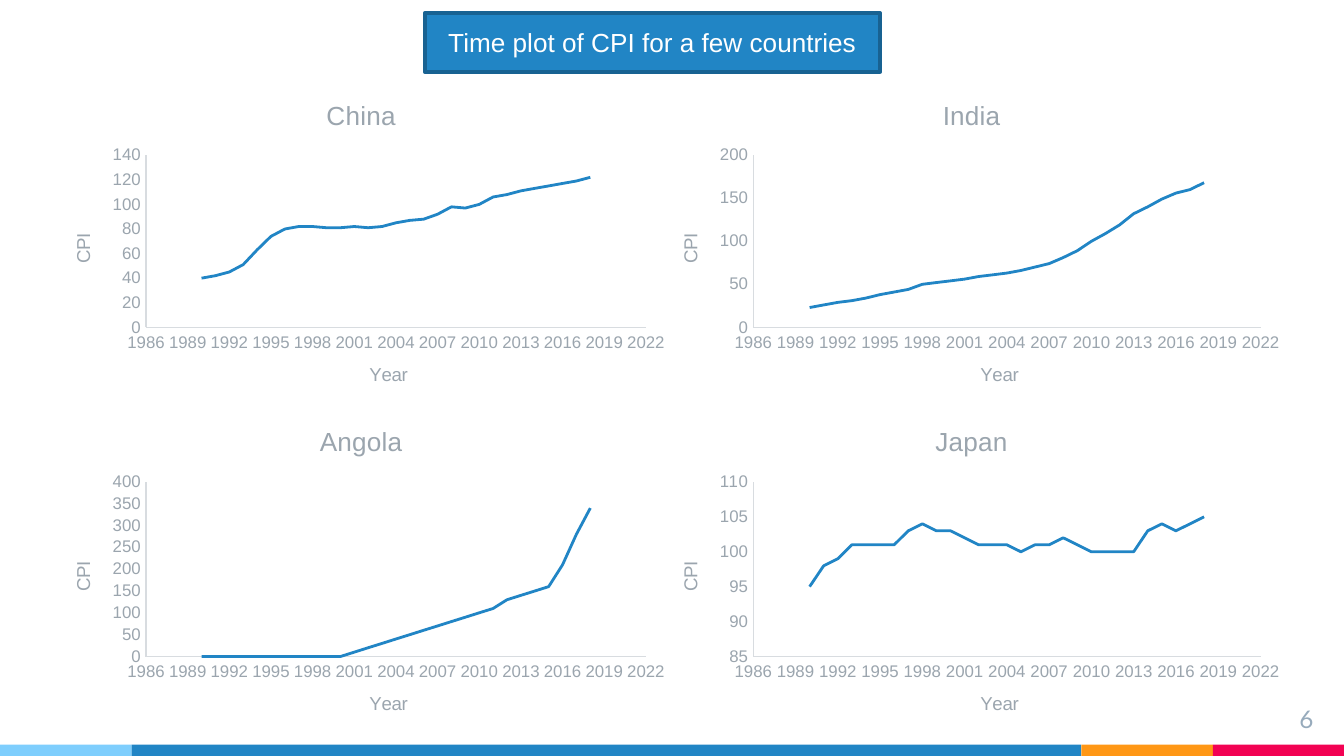
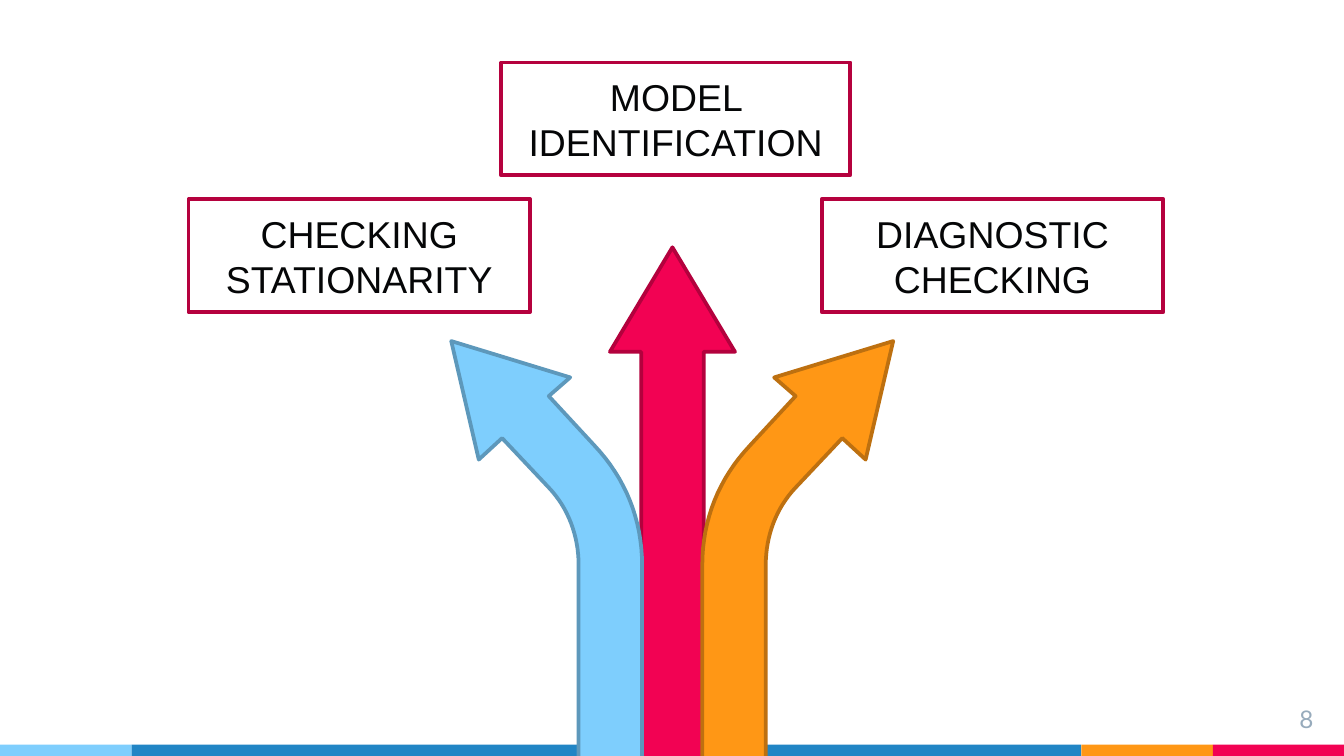
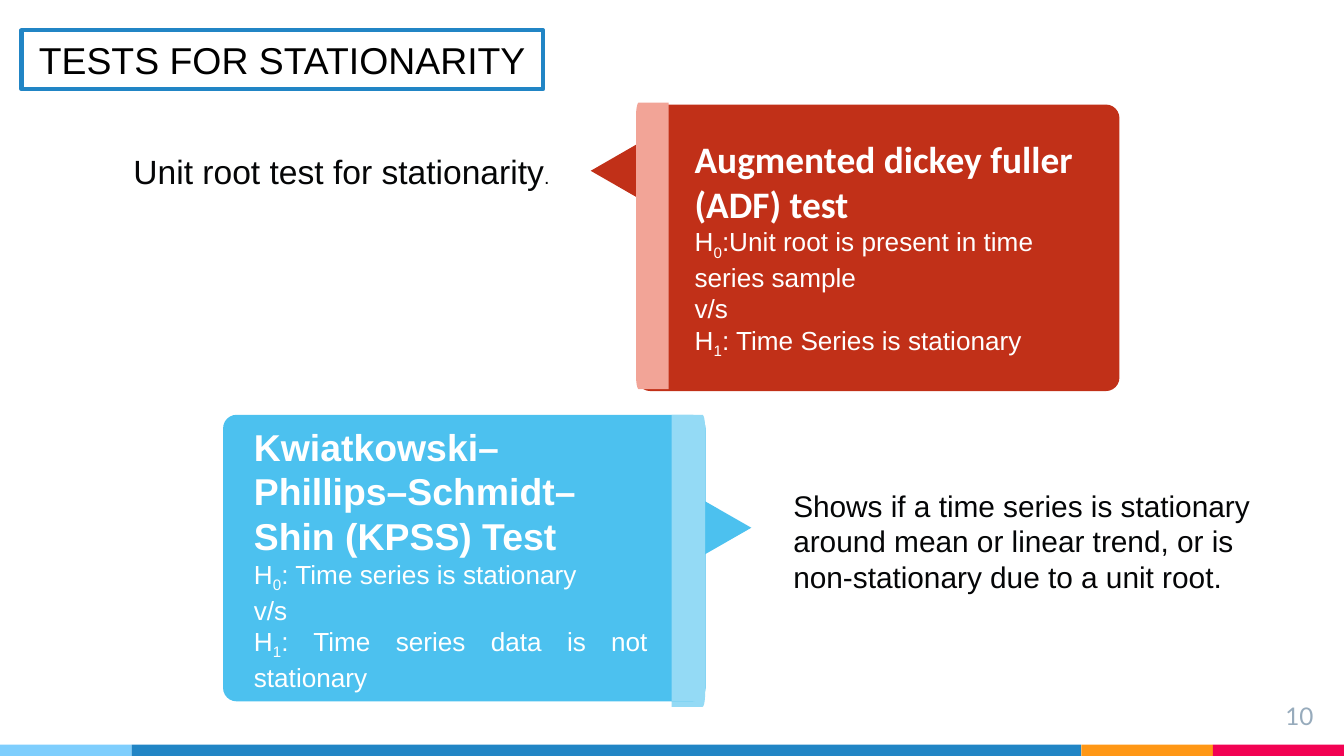
from pptx import Presentation
from pptx.chart.data import XyChartData
from pptx.dml.color import RGBColor
from pptx.enum.chart import XL_AXIS_CROSSES as CROSS
from pptx.enum.chart import XL_CHART_TYPE as CHART
from pptx.enum.chart import XL_TICK_MARK as TICK
from pptx.enum.shapes import MSO_SHAPE as SHAPE
from pptx.enum.text import MSO_ANCHOR as ANCHOR
from pptx.enum.text import PP_ALIGN as ALIGN
from pptx.oxml import parse_xml
from pptx.util import Pt

WIDE, HIGH = 720, 405
BLUE, SKY, ORANGE, PINK = "2185C5", "7ECEFD", "FF9715", "F20253"
WINE, RED, AQUA = "B5013E", "C13018", "4CC1EF"
WHITE, INK, GREY, RULE, PAGE = "FFFFFF", "050607", "9BA5AE", "D8DCE0", "97ABBC"
BANDS = ((0, 70.5, SKY), (70.5, 508.75, BLUE),
         (579.25, 70.5, ORANGE), (649.75, 70.25, PINK))

YEARS = range(1990, 2019)
CPI = {
    "China": ((0, 140, 20),
              [40, 42, 45, 51, 63, 74, 80, 82, 82, 81, 81, 82, 81, 82, 85,
               87, 88, 92, 98, 97, 100, 106, 108, 111, 113, 115, 117, 119, 122]),
    "India": ((0, 200, 50),
              [23, 26, 29, 31, 34, 38, 41, 44, 50, 52, 54, 56, 59, 61, 63,
               66, 70, 74, 81, 89, 100, 109, 119, 132, 140, 149, 156, 160, 168]),
    "Angola": ((0, 400, 50),
               [0, 0, 0, 0, 0, 0, 0, 0, 0, 0, 0, 10, 20, 30, 40,
                50, 60, 70, 80, 90, 100, 110, 130, 140, 150, 160, 210, 280, 340]),
    "Japan": ((85, 110, 5),
              [95, 98, 99, 101, 101, 101, 101, 103, 104, 103, 103, 102, 101, 101, 101,
               100, 101, 101, 102, 101, 100, 100, 100, 100, 103, 104, 103, 104, 105]),
}
LAYOUT = """<c:layout xmlns:c="http://schemas.openxmlformats.org/drawingml/2006/chart">
<c:manualLayout><c:layoutTarget val="inner"/><c:xMode val="edge"/><c:yMode val="edge"/>
<c:x val="0.16"/><c:y val="0.225"/><c:w val="0.79"/><c:h val="0.517"/>
</c:manualLayout></c:layout>"""


def tint(code):
    return RGBColor.from_string(code)


def style(font, size, color, name="Arial", bold=False):
    look = {"size": Pt(size), "name": name, "bold": bold}
    for key, val in look.items():
        setattr(font, key, val)
    font.color.rgb = tint(color)


def paint(shape, fill=None, line=None, width=2):
    shape.shadow.inherit = False
    if fill:
        shape.fill.solid()
        shape.fill.fore_color.rgb = tint(fill)
    else:
        shape.fill.background()
    if line:
        shape.line.color.rgb = tint(line)
        shape.line.width = Pt(width)
    else:
        shape.line.fill.background()
    return shape


def block(slide, box, fill=None, line=None, width=2, kind=SHAPE.RECTANGLE):
    shape = slide.shapes.add_shape(kind, *map(Pt, box))
    return paint(shape, fill, line, width)


def outline(slide, points, fill, line=None):
    dots = [(Pt(x), Pt(y)) for x, y in points]
    maker = slide.shapes.build_freeform(*dots[0], scale=1)
    maker.add_line_segments(dots[1:], close=True)
    return paint(maker.convert_to_shape(), fill, line)


def curve(a, b, c, d, steps=16):
    """Points along a cubic Bezier from a to d."""
    spots = []
    for i in range(steps + 1):
        t = i / steps
        u = 1 - t
        spots.append(tuple(u**3 * p + 3 * u * u * t * q + 3 * u * t * t * r + t**3 * s
                           for p, q, r, s in zip(a, b, c, d)))
    return spots


def write(shape, paras, pads=(7.2, 3.6, 7.2, 3.6), anchor=ANCHOR.MIDDLE):
    """Each paragraph is an alignment and runs of text, style and baseline."""
    frame = shape.text_frame
    sides = zip(("left", "top", "right", "bottom"), pads)
    look = {f"margin_{side}": Pt(pad) for side, pad in sides}
    look |= {"word_wrap": True, "vertical_anchor": anchor}
    for key, val in look.items():
        setattr(frame, key, val)
    for i, (align, runs) in enumerate(paras):
        para = frame.add_paragraph() if i else frame.paragraphs[0]
        para.alignment = align
        for text, look, base in runs:
            run = para.add_run()
            run.text = text
            style(run.font, **look)
            if base:
                run.font._element.set("baseline", str(base))


def plain(text, size, color=INK, align=ALIGN.CENTER, **more):
    return align, [(text, {"size": size, "color": color, **more}, 0)]


def claim(mark, text, align):
    """A hypothesis, H with a subscript."""
    look = {"size": 14, "color": WHITE}
    return align, [("H", look, 0), (mark, look, -25000), (text, look, 0)]


def note(slide, box, paras, pads=(0, 3.6, 0, 3.6)):
    write(slide.shapes.add_textbox(*map(Pt, box)), paras, pads, ANCHOR.TOP)


def base(deck, number):
    slide = deck.slides.add_slide(deck.slide_layouts[6])
    for left, width, color in BANDS:
        block(slide, (left, 399, width, 6), color)
    top = 368.5 if number == 10 else 370
    note(slide, (667.5, top, 43.2, 24.5),
         [plain(str(number), 13, PAGE, ALIGN.RIGHT, name="Lato")], (7.2,) * 4)
    return slide


def scale(axis, title, low, high, step):
    look = {"minimum_scale": low, "maximum_scale": high, "major_unit": step,
            "has_major_gridlines": False, "major_tick_mark": TICK.NONE,
            "minor_tick_mark": TICK.NONE, "crosses": CROSS.MINIMUM}
    for key, val in look.items():
        setattr(axis, key, val)
    labels = axis.tick_labels
    labels.number_format, labels.number_format_is_linked = "0", False
    style(labels.font, 9, GREY)
    axis.format.line.color.rgb = tint(RULE)
    axis.format.line.width = Pt(0.75)
    name(axis.axis_title, title, 10)


def name(title, text, size):
    para = title.text_frame.paragraphs[0]
    run = para.add_run()
    run.text = text
    style(run.font, size, GREY)


def plot(slide, box, land):
    span, vals = CPI[land]
    data = XyChartData()
    line = data.add_series(land)
    for year, val in zip(YEARS, vals):
        line.add_data_point(year, val)
    chart = slide.shapes.add_chart(
        CHART.XY_SCATTER_LINES_NO_MARKERS, *map(Pt, box), data).chart
    style(chart.font, 10, "677480")
    chart.has_legend = False
    chart.has_title = True
    name(chart.chart_title, land, 14)
    scale(chart.category_axis, "Year", 1986, 2022, 3)
    scale(chart.value_axis, "CPI", *span)
    turn = chart.value_axis.axis_title.text_frame._txBody.bodyPr
    turn.set("rot", "-5400000")
    turn.set("vert", "horz")
    chart.plots[0].vary_by_categories = False
    trend = chart.plots[0].series[0]
    trend.smooth = False
    trend.format.line.color.rgb = tint(BLUE)
    trend.format.line.width = Pt(1.5)
    area = chart._chartSpace.chart.plotArea
    for old in area.xpath("c:layout"):
        area.remove(old)
    area.insert(0, parse_xml(LAYOUT))


def charts(deck):
    slide = base(deck, 6)
    cols = ((24, 339), (348.5, 344))
    rows = ((43, 178.5), (217.5, 181))
    for i, land in enumerate(CPI):
        (left, width), (top, height) = cols[i % 2], rows[i // 2]
        plot(slide, (left, top, width, height), land)
    title = block(slide, (227.5, 7, 244, 31.5), BLUE, "186292")
    write(title, [plain("Time plot of CPI for a few countries", 14, WHITE)])


def rise(slide, box, fill, line):
    """Straight arrow pointing up."""
    left, top, width, height = box
    mid, neck, half = left + width / 2, top + 56, width / 4
    low = top + height
    outline(slide, [(mid, top), (left, neck), (mid - half, neck), (mid - half, low),
                    (mid + half, low), (mid + half, neck), (left + width, neck)],
            fill, line)


def bend(slide, box, fill, line, flip=False):
    """Arrow that rises, then leans right, or left if flipped."""
    left, top, width, height = box
    spots = [(width, 0), (38.5, 19.5), (50, 29.5)]
    spots += curve((25.5, 56), (9, 73.5), (0, 95.5), (0, 120))
    spots += [(0, height), (34, height)]
    spots += curve((34, 120), (34, 104.5), (39.5, 89.5), (50, 78.5))
    spots += [(75, 52), (87.5, 63.5)]
    outline(slide, [(left + (width - x if flip else x), top + y) for x, y in spots],
            fill, line)


def steps(deck):
    slide = base(deck, 8)
    top, width, height = 182.75, 102.25, 288.75
    rise(slide, (326.75, 132.5, 67, 339), PINK, "B3013D")
    bend(slide, (376.25, top, width, height), ORANGE, "BD7010")
    bend(slide, (241.75, top, width, height), SKY, "5D98BB", flip=True)
    for left, top, width, text in ((101, 106.75, 183, "CHECKING STATIONARITY"),
                                   (268.5, 33.5, 187, "MODEL IDENTIFICATION"),
                                   (440.25, 106.75, 183, "DIAGNOSTIC CHECKING")):
        write(block(slide, (left, top, width, 60.5), WHITE, WINE), [plain(text, 20)])


def tab(slide, box, fill, flip=False):
    """Strip with its right corners rounded, or the left ones if flipped."""
    left, top, width, height = box
    edge = curve((width - 1.5, 0), (width - 0.7, 0), (width, 3), (width, 7))
    spots = [(0, 0), *edge, *[(x, height - y) for x, y in reversed(edge)], (0, height)]
    outline(slide, [(left + (width - x if flip else x), top + y) for x, y in spots], fill)


def card(slide, box, fill, paras, pads):
    shape = block(slide, box, fill, kind=SHAPE.ROUNDED_RECTANGLE)
    shape.adjustments[0] = 0.047
    write(shape, paras, pads)


def point(slide, box, fill, angle):
    block(slide, box, fill, kind=SHAPE.ISOSCELES_TRIANGLE).rotation = angle


def tests(deck):
    slide = base(deck, 10)
    left, wide, tall = ALIGN.LEFT, 258.5, 153.5
    card(slide, (341.2, 56, wide, tall), RED, [
        plain("Augmented dickey fuller (ADF) test", 20, WHITE, left,
              name="Calibri", bold=True),
        claim("0", ":Unit root is present in time series sample", left),
        plain("v/s", 14, WHITE, left),
        claim("1", ": Time Series is stationary", left)], (28.8, 3.6, 14.4, 3.6))
    point(slide, (314.25, 76.5, 34.5, 30), RED, 270)
    tab(slide, (340.75, 55, 17.5, tall), "F2A497", flip=True)

    point(slide, (373, 269, 31.5, 27.5), AQUA, 90)
    tab(slide, (359.75, 225.25, 18, tall), "94DAF5")
    card(slide, (119.5, 222.25, wide, tall), AQUA, [
        plain("Kwiatkowski–Phillips–Schmidt–Shin (KPSS) Test", 20, WHITE, left, bold=True),
        claim("0", ": Time series is stationary", ALIGN.JUSTIFY),
        plain("v/s", 14, WHITE, ALIGN.JUSTIFY),
        claim("1", ": Time series data is not stationary", ALIGN.JUSTIFY)],
        (14.4, 3.6, 28.8, 3.6))
    tab(slide, (359.75, 222.25, 18, tall), "94DAF5")

    note(slide, (425, 257.5, 266.5, 65.5), [plain(
        "Shows if a time series is stationary around mean or linear trend, "
        "or is non-stationary due to a unit root.", 16, align=left)])
    unit = plain("Unit root test for stationarity", 18, align=left)
    unit[1].append((".", {"size": 10.5, "color": INK}, 0))
    note(slide, (71.5, 77.35, 230.5, 29), [unit])
    title = block(slide, (11.5, 16.25, 279.5, 31.5), line=BLUE, width=2.25)
    write(title, [plain("TESTS FOR STATIONARITY", 20, "000000")])


def main():
    deck = Presentation()
    deck.slide_width, deck.slide_height = Pt(WIDE), Pt(HIGH)
    for build in (charts, steps, tests):
        build(deck)
    deck.save("out.pptx")


if __name__ == "__main__":
    main()
